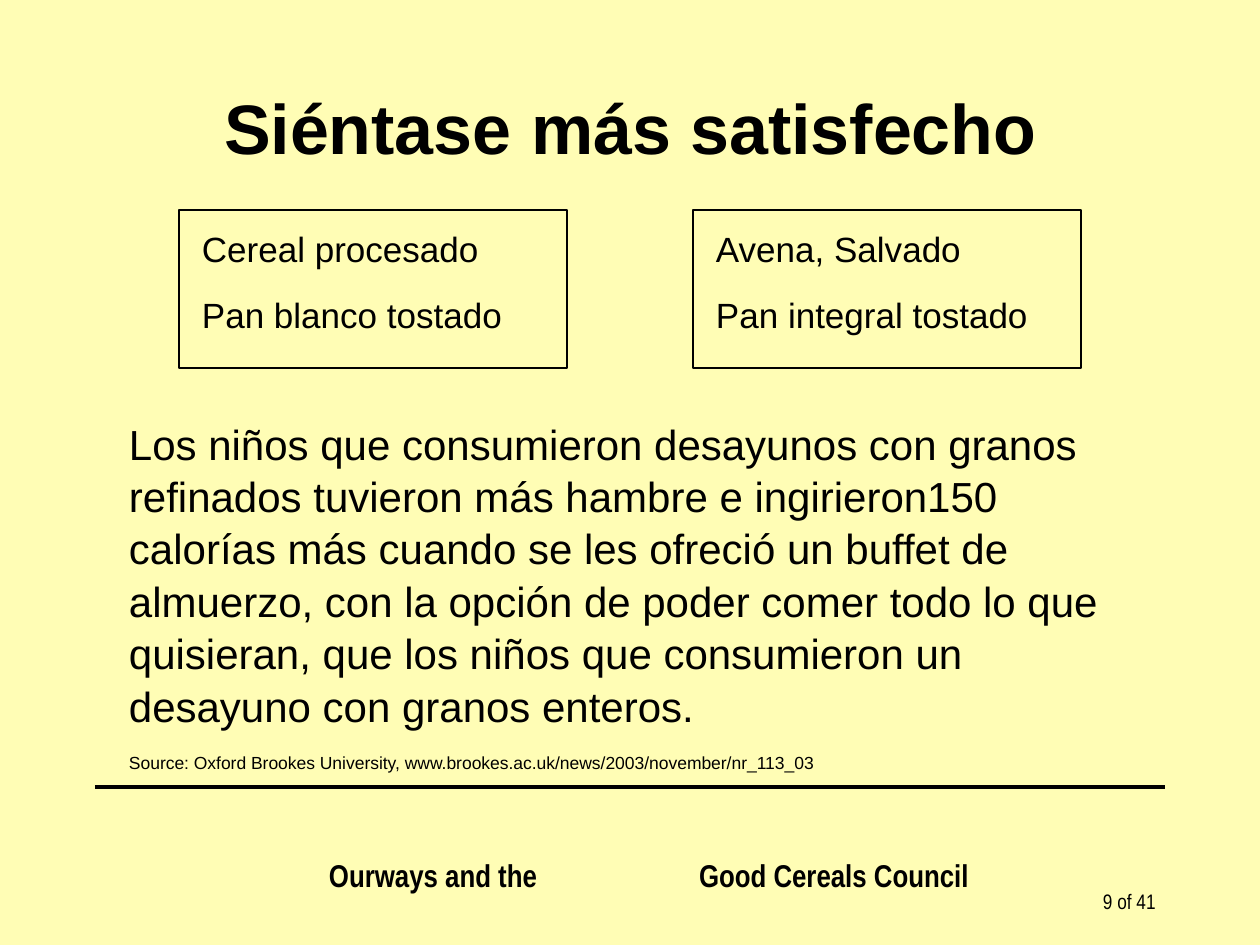
from lxml.etree import SubElement
from pptx import Presentation
from pptx.dml.color import RGBColor
from pptx.enum.shapes import MSO_CONNECTOR, MSO_SHAPE
from pptx.enum.text import MSO_ANCHOR, PP_ALIGN
from pptx.oxml.ns import qn
from pptx.util import Emu, Pt


def px(n):
    return Emu(round(n * 914400 / 126))


def color(code):
    return RGBColor.from_string(code)


class Page:
    """Holds the style and the slide being filled."""

    ink = "000000"
    paper = "FFFDB5"
    face = "Arial"
    slim = "Arial Narrow"

    def __init__(self, deck):
        self.slide = deck.slides.add_slide(deck.slide_layouts[6])
        fill = self.slide.background.fill
        fill.solid()
        fill.fore_color.rgb = color(self.paper)

    def text(self, box, lines, sizes, face=face, bold=False, align=PP_ALIGN.LEFT,
             gap=0, lead=None, inset=13, stop=None, anchor=MSO_ANCHOR.TOP):
        frame = self.slide.shapes.add_textbox(*map(px, box)).text_frame
        frame.word_wrap = True
        frame.vertical_anchor = anchor
        frame.margin_left = px(inset)
        frame.text = "\n".join(lines)
        for i, (para, size) in enumerate(zip(frame.paragraphs, sizes)):
            para.alignment = align
            para.line_spacing = lead
            if i:
                para.space_before = Pt(gap)
            if stop:
                tabs = SubElement(para._p.get_or_add_pPr(), qn("a:tabLst"))
                SubElement(tabs, qn("a:tab"), pos=str(px(stop)), algn="l")
            for run in para.runs:
                font = run.font
                font.name, font.size, font.bold = face, Pt(size), bold
                font.color.rgb = color(self.ink)

    def frame(self, box):
        rect = self.slide.shapes.add_shape(MSO_SHAPE.RECTANGLE, *map(px, box))
        rect.shadow.inherit = False
        rect.fill.background()
        rect.line.color.rgb = color(self.ink)
        rect.line.width = Pt(0.75)

    def rule(self, left, right, top):
        ends = map(px, (left, top, right, top))
        line = self.slide.shapes.add_connector(MSO_CONNECTOR.STRAIGHT, *ends)
        line.line.color.rgb = color(self.ink)
        line.line.width = Pt(2.25)
        SubElement(line._element.spPr, qn("a:effectLst"))


def main():
    deck = Presentation()
    deck.slide_width, deck.slide_height = px(1260), px(945)
    page = Page(deck)

    page.text((243, 850, 819, 50), ["Ourways and the\tGood Cereals Council"], [18],
              face=page.slim, bold=True, inset=86, stop=370)
    page.rule(95, 1165, 787)
    page.text((1050, 882, 158, 62), ["9 of 41"], [12],
              face=page.slim, align=PP_ALIGN.CENTER)
    page.text((95, 74, 1070, 105), ["Siéntase más satisfecho"], [40],
              bold=True, align=PP_ALIGN.CENTER, anchor=MSO_ANCHOR.MIDDLE)
    story = ("Los niños que consumieron desayunos con granos refinados tuvieron más "
             "hambre e ingirieron150 calorías más cuando se les ofreció un buffet de "
             "almuerzo, con la opción de poder comer todo lo que quisieran, que los "
             "niños que consumieron un desayuno con granos enteros.")
    source = ("Source: Oxford Brookes University, "
              "www.brookes.ac.uk/news/2003/november/nr_113_03")
    page.text((116, 410, 1029, 358), [story, source], [24, 10], gap=12, lead=1.04)

    foods = [["Cereal procesado", "Pan blanco tostado"],
             ["Avena, Salvado", "Pan integral tostado"]]
    for i, names in enumerate(foods):
        left = 179 + 514 * i
        page.text((left + 10, 220, 368, 118), names, [20, 20], gap=12.5, lead=1.04)
        page.frame((left, 210, 388, 158))

    deck.save("out.pptx")


if __name__ == "__main__":
    main()
